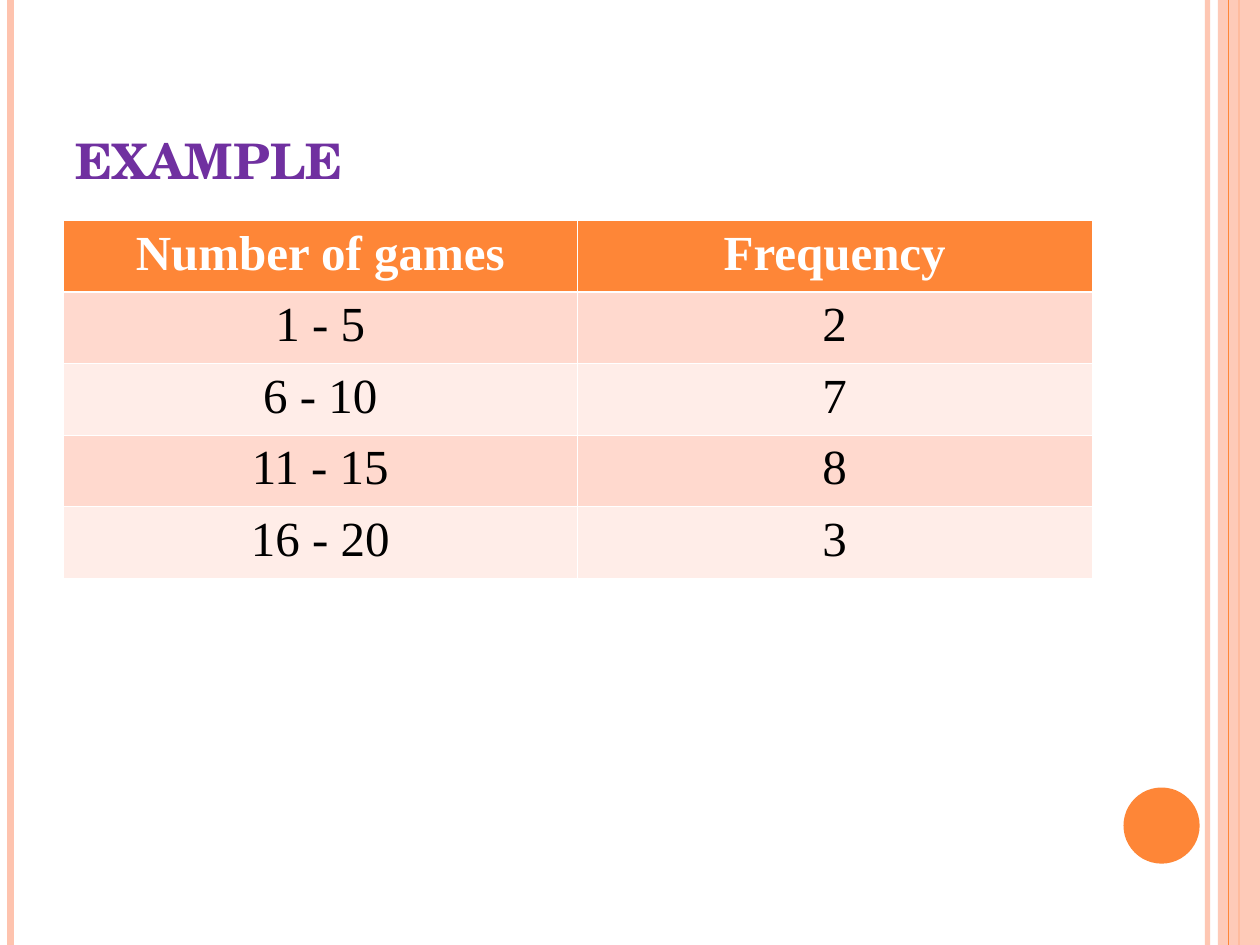
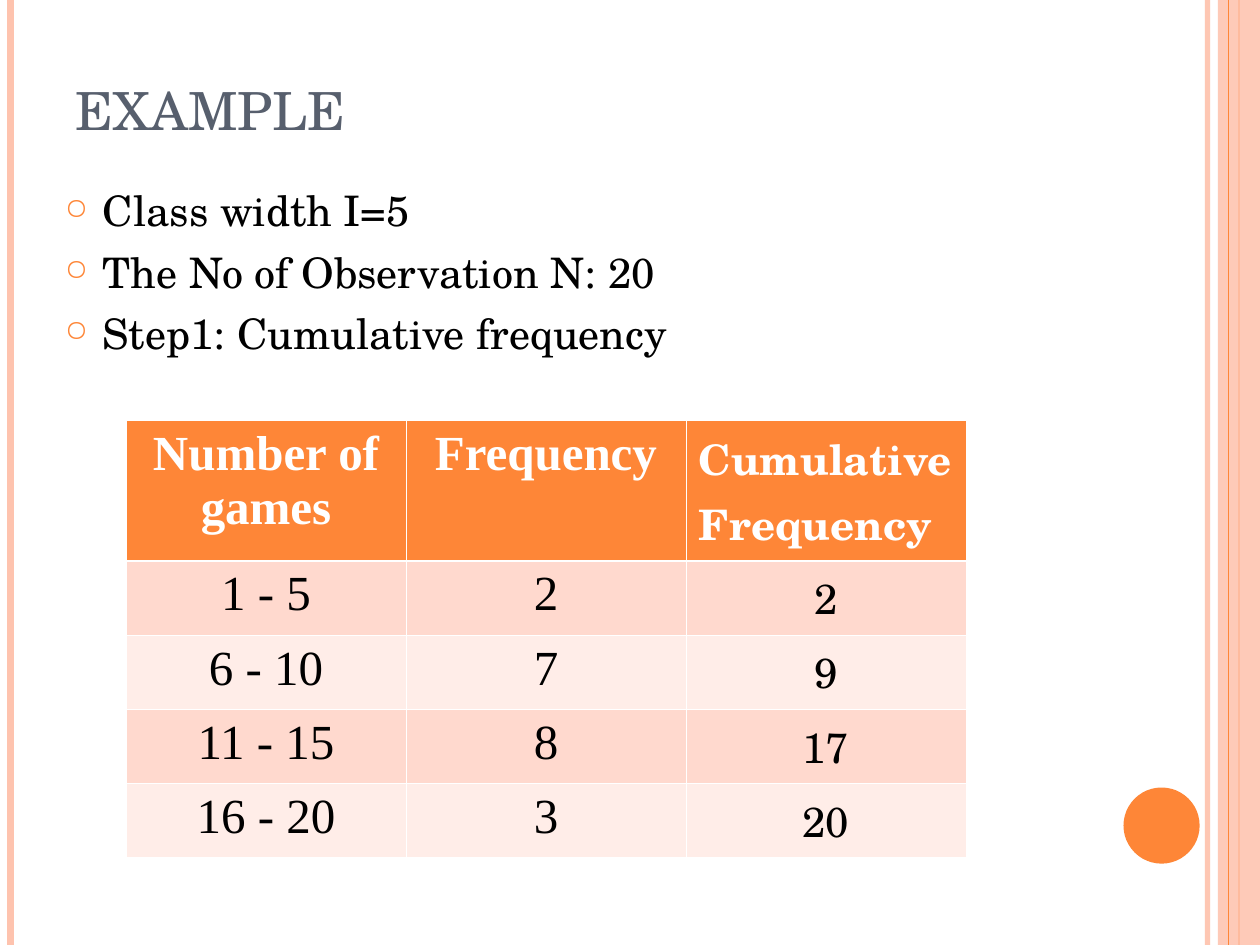
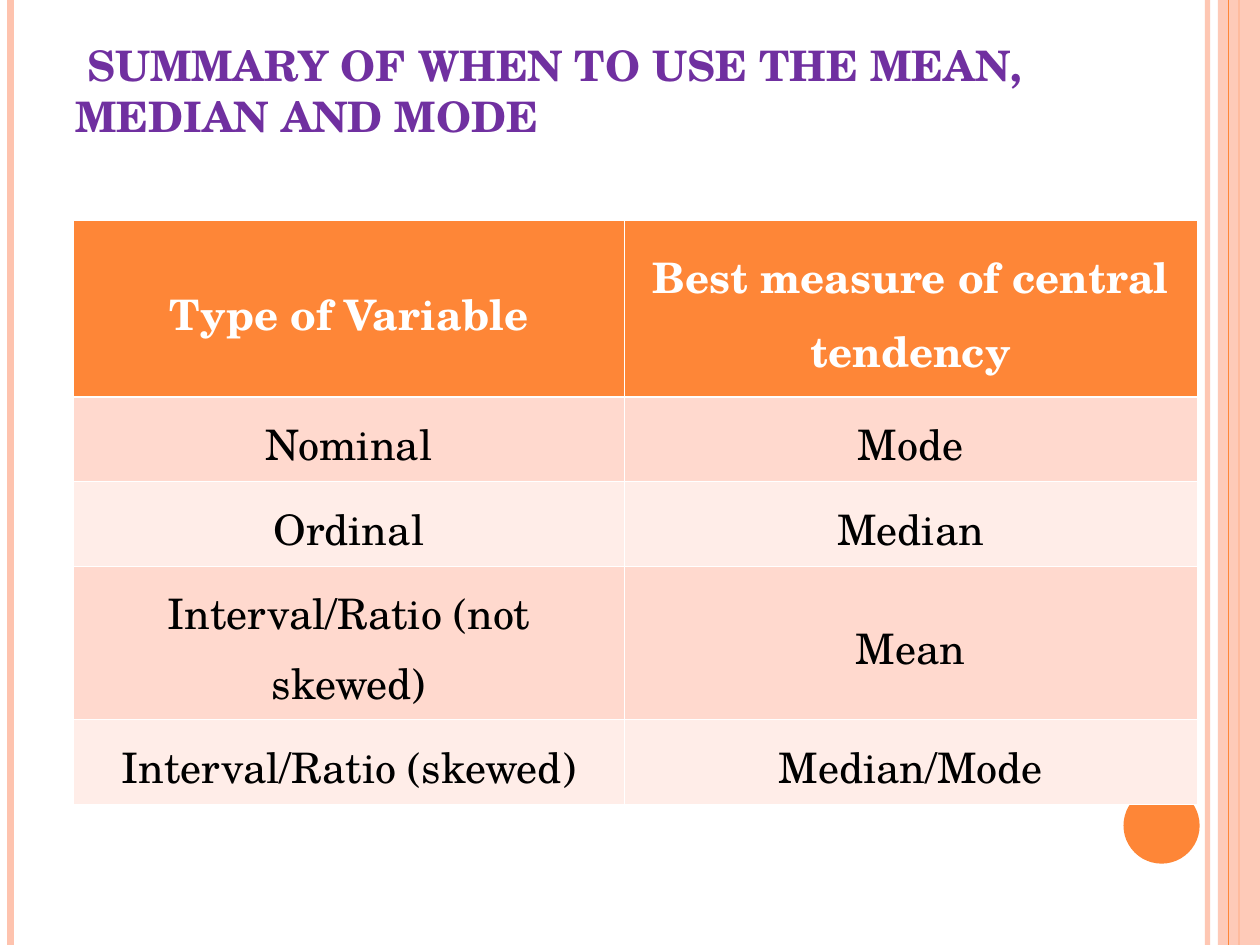
import dataclasses

import lxml.etree
import pptx
import pptx.dml.color
import pptx.enum.shapes
import pptx.enum.text
import pptx.oxml.ns
import pptx.util

Pt = pptx.util.Pt
Align = pptx.enum.text.PP_ALIGN
Anchor = pptx.enum.text.MSO_ANCHOR
qn = pptx.oxml.ns.qn


@dataclasses.dataclass(frozen=True)
class Theme:
    orange: str = "FE8637"
    peach: str = "FEC3AE"
    band_dark: str = "FFD9CE"
    band_light: str = "FFEDE8"
    purple: str = "7030A0"
    slate: str = "575F6D"
    black: str = "000000"
    white: str = "FFFFFF"
    serif: str = "TeX Gyre Schola"
    roman: str = "Times New Roman"
    body_size: int = 24
    large_size: int = 28
    title_size: int = 30
    line_pitch: int = 29
    thin_border: float = 0.45
    header_border: float = 1.47


theme = Theme()


def rgb(value):
    return pptx.dml.color.RGBColor.from_string(value)


def style(para, font, size, color, bold=False):
    for span in para.runs:
        span.font.name = font
        span.font.size = Pt(size)
        span.font.color.rgb = rgb(color)
        span.font.bold = bold


# Column styles: font, size, side margin, header alignment
roman_column = (theme.roman, theme.large_size, 0.7, Align.CENTER)
serif_column = (theme.serif, theme.body_size, 7.2, Align.CENTER)
serif_left_header = (theme.serif, theme.body_size, 7.2, Align.LEFT)

games = [
    ("Number of games", "Frequency"),
    ("1 - 5", "2"),
    ("6 - 10", "7"),
    ("11 - 15", "8"),
    ("16 - 20", "3"),
]
cumulative = ["Cumulative Frequency", "2", "9", "17", "20"]

pages = [
    dict(
        title="EXAMPLE", title_box=(36, 21.6, 588, 90), indent=0,
        title_style=(theme.large_size, theme.purple, True),
        bullets=[],
        rows=games, table_at=(36, 126), widths=[294, 294],
        heights=[38.1] * 5, columns=[roman_column] * 2,
        anchor=Anchor.TOP, line_spacing=1.0,
    ),
    dict(
        title="EXAMPLE", title_box=(36, 21.6, 588, 62.6), indent=0,
        title_style=(theme.title_size, theme.slate, False),
        bullets=["Class width I=5", "The No of Observation N: 20",
                 "Step1: Cumulative frequency"],
        rows=[(*row, total) for row, total in zip(games, cumulative)],
        table_at=(72, 240), widths=[160] * 3,
        heights=[80.5] + [42.4] * 4,
        columns=[roman_column, roman_column, serif_left_header],
        anchor=Anchor.TOP, line_spacing=1.0,
    ),
    dict(
        title="SUMMARY OF WHEN TO USE THE MEAN, MEDIAN AND MODE",
        title_box=(36, 18, 612, 66), indent=7,
        title_style=(theme.body_size, theme.purple, True),
        bullets=[],
        rows=[
            ("Type of Variable", "Best measure of central tendency"),
            ("Nominal", "Mode"),
            ("Ordinal", "Median"),
            ("Interval/Ratio (not skewed)", "Mean"),
            ("Interval/Ratio (skewed)", "Median/Mode"),
        ],
        table_at=(42, 126), widths=[314.7, 327.3],
        heights=[101, 48.2, 48.2, 87.8, 48.2], columns=[serif_column] * 2,
        anchor=Anchor.MIDDLE, line_spacing=1.15,
    ),
]

# Vertical rules: x, colour, width, opacity in percent
rules_behind = [(690, theme.peach, 3, 93), (6, theme.peach, 4.5, 100),
                (708, theme.orange, 1.5, 100)]
rules_front = [(702, theme.orange, 0.75, 100)]

deck = pptx.Presentation()
deck.slide_width = Pt(720)
deck.slide_height = Pt(540)

for page in pages:
    slide = deck.slides.add_slide(deck.slide_layouts[6])

    # Side rules, right band and corner disc
    for part in [*rules_behind, "band", *rules_front, "disc"]:
        if part == "band":
            shape = slide.shapes.add_shape(
                pptx.enum.shapes.MSO_SHAPE.RECTANGLE, Pt(696), 0, Pt(24), Pt(540))
            color, opacity = theme.peach, 87
        elif part == "disc":
            shape = slide.shapes.add_shape(
                pptx.enum.shapes.MSO_SHAPE.OVAL, Pt(642), Pt(450), Pt(43.5), Pt(43.5))
            color, opacity = theme.orange, 100
        else:
            x, color, width, opacity = part
            shape = slide.shapes.add_connector(
                pptx.enum.shapes.MSO_CONNECTOR.STRAIGHT, Pt(x), 0, Pt(x), Pt(540))
            shape.line.width = Pt(width)
            shape.line.color.rgb = rgb(color)
            lxml.etree.SubElement(shape.element.spPr, qn("a:effectLst"))
        if isinstance(part, str):
            shape.shadow.inherit = False
            shape.fill.solid()
            shape.fill.fore_color.rgb = rgb(color)
            shape.line.fill.background()
        if opacity < 100:
            paint = next(shape.element.spPr.iter(qn("a:srgbClr")))
            lxml.etree.SubElement(paint, qn("a:alpha"), val=str(opacity * 1000))

    # Title
    box = slide.shapes.add_textbox(*map(Pt, page["title_box"]))
    box.text_frame.word_wrap = True
    box.text_frame.vertical_anchor = Anchor.BOTTOM
    box.text_frame.text = page["title"]
    para = box.text_frame.paragraphs[0]
    if page["indent"]:
        para._p.get_or_add_pPr().set("indent", str(Pt(page["indent"])))
        para.line_spacing = Pt(theme.line_pitch)
    style(para, theme.serif, *page["title_style"])

    # Bulleted list
    if page["bullets"]:
        box = slide.shapes.add_textbox(Pt(30), Pt(102), Pt(588), Pt(407.5))
        box.text_frame.word_wrap = True
        box.text_frame.text = "\n".join(page["bullets"])
        for index, para in enumerate(box.text_frame.paragraphs):
            para.line_spacing = Pt(theme.line_pitch)
            para.space_before = Pt(6 if index else 0)
            props = para._p.get_or_add_pPr()
            props.set("marL", str(Pt(21.6)))
            props.set("indent", str(-Pt(21.6)))
            bullet_color = lxml.etree.SubElement(props, qn("a:buClr"))
            lxml.etree.SubElement(bullet_color, qn("a:srgbClr"), val=theme.orange)
            lxml.etree.SubElement(props, qn("a:buSzPct"), val="70000")
            lxml.etree.SubElement(props, qn("a:buChar"), char="○")
            style(para, theme.serif, theme.body_size, theme.black)

    # Table
    rows, widths, heights = page["rows"], page["widths"], page["heights"]
    table = slide.shapes.add_table(
        len(rows), len(widths), *map(Pt, page["table_at"]),
        Pt(sum(widths)), Pt(sum(heights))).table
    for column, width in zip(table.columns, widths):
        column.width = Pt(width)
    for row_index, row in enumerate(rows):
        table.rows[row_index].height = Pt(heights[row_index])
        header = row_index == 0
        band = theme.band_dark if row_index % 2 else theme.band_light
        for column_index, text in enumerate(row):
            font, size, margin, header_align = page["columns"][column_index]
            cell = table.cell(row_index, column_index)
            cell.margin_left = cell.margin_right = Pt(margin)
            cell.margin_top = cell.margin_bottom = Pt(3.6)
            cell.vertical_anchor = page["anchor"]
            cell.text_frame.text = text
            para = cell.text_frame.paragraphs[0]
            para.alignment = header_align if header else Align.CENTER
            para.line_spacing = page["line_spacing"]
            style(para, font, size, theme.white if header else theme.black, header)

            # White borders, heavier under the header
            props = cell._tc.get_or_add_tcPr()
            for side in "LRTB":
                heavy = (row_index, side) in [(0, "B"), (1, "T")]
                border = theme.header_border if heavy else theme.thin_border
                edge = lxml.etree.SubElement(props, qn("a:ln" + side), w=str(Pt(border)))
                paint = lxml.etree.SubElement(edge, qn("a:solidFill"))
                lxml.etree.SubElement(paint, qn("a:srgbClr"), val=theme.white)
            cell.fill.solid()
            cell.fill.fore_color.rgb = rgb(theme.orange if header else band)

deck.save("out.pptx")
